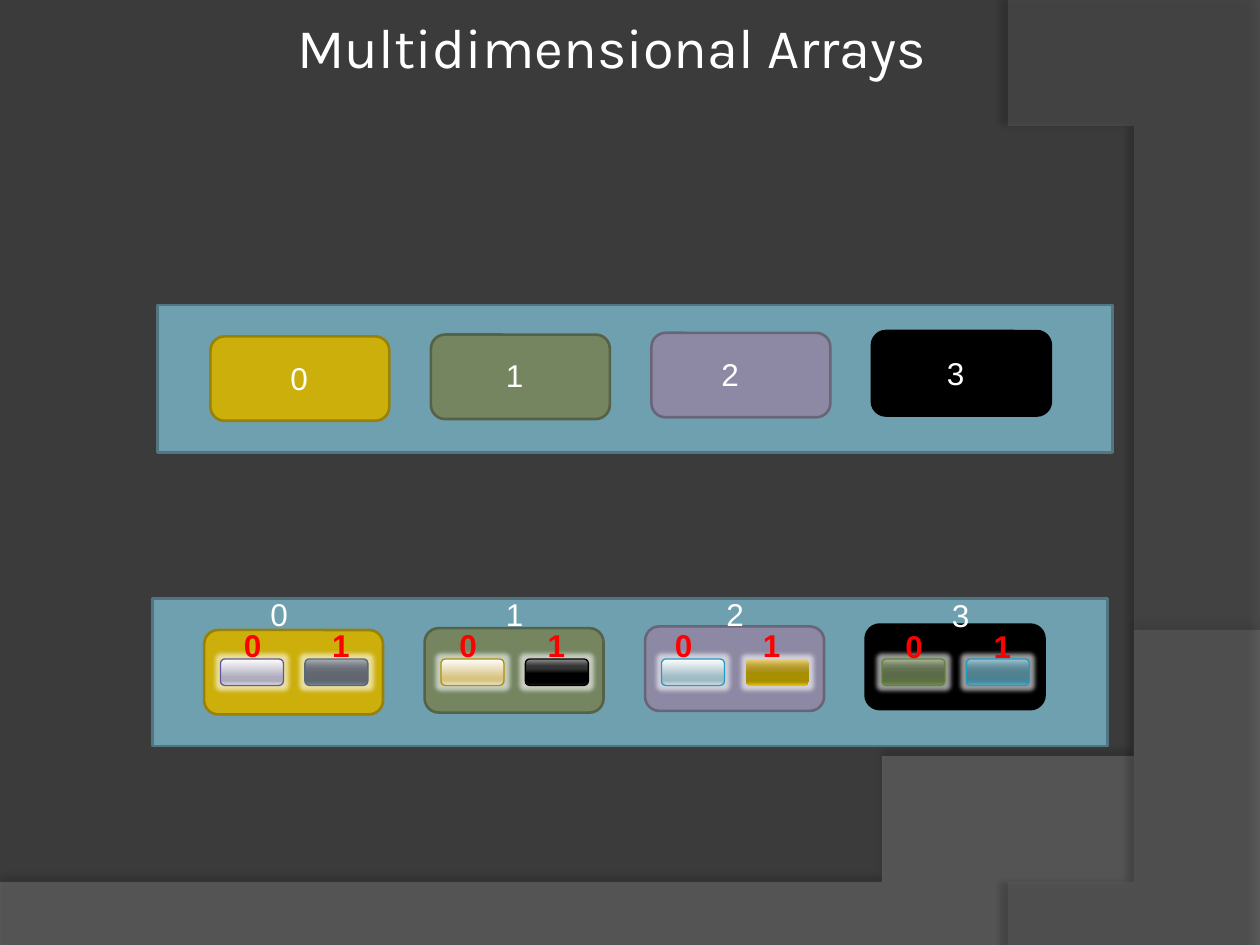
import pptx
import pptx.util
from lxml import etree
from pptx.dml.color import RGBColor
from pptx.enum.shapes import MSO_SHAPE
from pptx.enum.text import MSO_ANCHOR, MSO_AUTO_SIZE, PP_ALIGN
from pptx.oxml.ns import qn
from pptx.util import Inches, Pt

COLORS = {
    "background": "3B3B3B", "text": "FFFFFF", "inner index": "FF0000",
    "band": "6EA0B0", "band edge": "517682", "glow": "FFFFFF",
    "lower wave": "7F7F7F", "right wave": "5E5E5E", "shadow": "000000",
}
TITLE = "Multidimensional Arrays"
ELEMENTS = [("CCAF0A", "978107"), ("748560", "566247"),
            ("8D89A4", "686579"), ("000000", "000000")]
ARRAYS = [  # band and element corners, then the corner of each index label
    {"band": (1.25, 2.42), "first": (1.67, 2.67),
     "labels": [(2.04, 2.8), (3.75, 2.78), (5.46, 2.77), (7.25, 2.76)]},
    {"band": (1.21, 4.75), "first": (1.62, 5),
     "labels": [(1.88, 4.67), (3.75, 4.67), (5.5, 4.67), (7.29, 4.68)]},
]
INNER_LABELS = [(1.67, 4.92), (3.38, 4.92), (5.09, 4.92), (6.92, 4.93)]
BAND_SIZE, ELEMENT_SIZE, CELL_SIZE, LABEL_SIZE = (7.58, 1.17), (1.42, 0.67), (0.5, 0.21), (0.67, 0.4)
ELEMENT_STEP, ELEMENT_RISE = 1.75, 0.014
FIRST_CELL, CELL_STEP, INNER_LABEL_STEP = (1.75, 5.23), 0.67, 0.7

LIGHT_STOPS = (0, 68, 81, 86, 100)
DARK_STOPS = (0, 25, 38, 55, 80, 88, 100)
CELLS = [  # gradient stops, gradient colours, edge; two for each element
    (LIGHT_STOPS, "FEFEFE B0AEBE ADABBC B5B3C2 E0DFE4", "625899"),
    (DARK_STOPS, "ACB0B7 7A7F87 6A6F77 626770 5F6670 636B77 7B8492", "59677D"),
    (LIGHT_STOPS, "FFFEFE D9C587 D8C381 DBC990 EFE7D3", "AB9200"),
    (DARK_STOPS, "909090 393939 323232 000000 000000 000000 181818", "000000"),
    (LIGHT_STOPS, "FEFEFE A0BCC6 9CB9C4 A7C0C9 DAE4E7", "239BC2"),
    (DARK_STOPS, "EED27E BFA536 AF9527 A88F00 A68D00 AF9500 E6C100", None),
    (DARK_STOPS, "A9B59D 728062 647254 5B6B48 5B6E44 607645 769058", "5F882F"),
    (DARK_STOPS, "9EC4D2 6C97A5 5B8694 51808F 4A8294 4A8BA0 5DAAC2", "239BC2"),
]
WAVES = [  # straight corners, then the curve that follows the last of them
    {"color": "lower wave", "opacity": 45, "blur": 4, "distance": 3.5, "direction": 270, "shade": 35,
     "corners": [(0, 7.05), (0, 7.51), (10, 7.51), (10, 5.2)],
     "curve": [(5.59, 7.29), (3.91, 7.19), (0, 7.05)]},
    {"color": "right wave", "opacity": 40, "blur": 4, "distance": 4, "direction": 180, "shade": 45,
     "corners": [(10, 0.02), (10, 7.5), (8.21, 7.5)],
     "curve": [(9.35, 6.19), (10.18, 3), (8, 0)]},
]


def rgb(color):
    return RGBColor.from_string(color)


def add_color(parent, color, opacity=100):
    element = etree.SubElement(parent, qn("a:srgbClr"), val=color)
    if opacity < 100:
        etree.SubElement(element, qn("a:alpha"), val=str(opacity * 1000))


def add_effect(shape, tag, color, opacity, **attributes):
    effects = shape._element.spPr.find(qn("a:effectLst"))
    effect = etree.SubElement(effects, qn(tag), {k: str(v) for k, v in attributes.items()})
    add_color(effect, color, opacity)


def bezier(start, control1, control2, end, steps=60):
    for step in range(1, steps + 1):
        t = step / steps
        weights = ((1 - t) ** 3, 3 * t * (1 - t) ** 2, 3 * t * t * (1 - t), t ** 3)
        yield tuple(sum(w * p[axis] for w, p in zip(weights, (start, control1, control2, end)))
                    for axis in (0, 1))


def add_wave(slide, wave):
    first, *rest = wave["corners"]
    builder = slide.shapes.build_freeform(*first, scale=Inches(1))
    builder.add_line_segments(rest + list(bezier(wave["corners"][-1], *wave["curve"])), close=True)
    shape = builder.convert_to_shape()
    shape.shadow.inherit = False
    shape.line.fill.background()
    shape.fill.solid()
    shape.fill.fore_color.rgb = rgb(COLORS[wave["color"]])
    color = shape._element.spPr.find(qn("a:solidFill"))[0]
    etree.SubElement(color, qn("a:alpha"), val=str(wave["opacity"] * 1000))
    add_effect(shape, "a:outerShdw", COLORS["shadow"], wave["shade"], blurRad=Pt(wave["blur"]),
               dist=Pt(wave["distance"]), dir=wave["direction"] * 60000, algn="ctr", rotWithShape=0)


def add_box(slide, kind, corner, size, fill, edge, weight=1.5):
    """Add a preset shape; fill is a colour, or None to be set later."""
    box = slide.shapes.add_shape(kind, *map(Inches, corner + size))
    box.shadow.inherit = False
    if fill:
        box.fill.solid()
        box.fill.fore_color.rgb = rgb(fill)
    if edge:
        box.line.color.rgb = rgb(edge)
        box.line.width = Pt(weight)
    else:
        box.line.fill.background()
    return box


def add_cell(slide, corner, stops, colors, edge):
    cell = add_box(slide, MSO_SHAPE.ROUNDED_RECTANGLE, corner, CELL_SIZE, None, edge, 0.75)
    cell.fill.gradient()
    cell.fill.gradient_angle = 270
    stop_list = cell._element.spPr.find(qn("a:gradFill")).find(qn("a:gsLst"))
    for stop in list(stop_list):
        stop_list.remove(stop)
    for position, color in zip(stops, colors.split()):
        add_color(etree.SubElement(stop_list, qn("a:gs"), pos=str(position * 1000)), color)
    add_effect(cell, "a:glow", COLORS["glow"], 60, rad=Pt(5))


def add_text(slide, corner, size, text, points=18, font="Arial", color="text", bold=False):
    box = slide.shapes.add_textbox(*map(Inches, corner + size))
    box.text_frame.word_wrap = True
    paragraph = box.text_frame.paragraphs[0]
    paragraph.text = text
    paragraph.alignment = PP_ALIGN.CENTER
    paragraph.font.size, paragraph.font.name, paragraph.font.bold = Pt(points), font, bold
    paragraph.font.color.rgb = rgb(COLORS[color])
    return box.text_frame


def add_index(slide, corner, index, **style):
    add_text(slide, corner, LABEL_SIZE, str(index), **style).auto_size = MSO_AUTO_SIZE.SHAPE_TO_FIT_TEXT


def main():
    deck = pptx.Presentation()
    deck.slide_width, deck.slide_height = Inches(10), Inches(7.5)
    slide = deck.slides.add_slide(deck.slide_layouts[6])
    slide.background.fill.solid()
    slide.background.fill.fore_color.rgb = rgb(COLORS["background"])

    for wave in WAVES:
        add_wave(slide, wave)

    for array in ARRAYS:
        add_box(slide, MSO_SHAPE.RECTANGLE, array["band"], BAND_SIZE, COLORS["band"], COLORS["band edge"])
        left, top = array["first"]
        for i, (fill, edge) in enumerate(ELEMENTS):
            corner = (left + i * ELEMENT_STEP, top - i * ELEMENT_RISE)
            add_box(slide, MSO_SHAPE.ROUNDED_RECTANGLE, corner, ELEMENT_SIZE, fill, edge)

    left, top = FIRST_CELL
    for i, cell in enumerate(CELLS):
        element, inner = divmod(i, 2)
        add_cell(slide, (left + element * ELEMENT_STEP + inner * CELL_STEP, top), *cell)

    for array in ARRAYS:
        for index, corner in enumerate(array["labels"]):
            add_index(slide, corner, index)
    for left, top in INNER_LABELS:
        for index in range(2):
            add_index(slide, (left + index * INNER_LABEL_STEP, top), index, color="inner index", bold=True)

    title = add_text(slide, (1.36, 0.06), (7, 0.61), TITLE, points=32, font="Karla")
    title.vertical_anchor = MSO_ANCHOR.MIDDLE
    title.margin_left = title.margin_right = title.margin_top = title.margin_bottom = Inches(0.05)

    deck.save("out.pptx")


if __name__ == "__main__":
    main()
